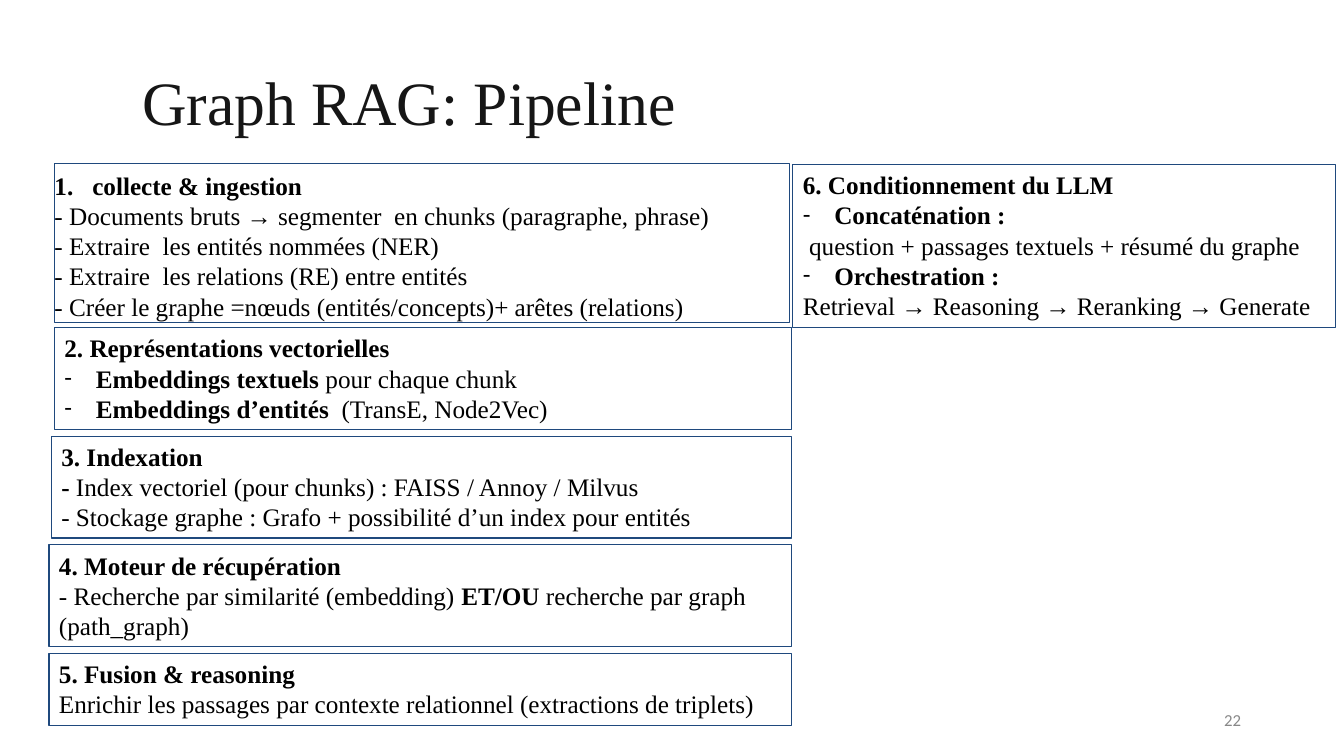
from lxml.etree import SubElement
from pptx import Presentation
from pptx.dml.color import RGBColor
from pptx.enum.shapes import MSO_SHAPE
from pptx.enum.text import MSO_ANCHOR, MSO_AUTO_SIZE, PP_ALIGN
from pptx.oxml.ns import qn
from pptx.util import Pt

BLACK = RGBColor(0x00, 0x00, 0x00)
TITLE_INK = RGBColor(0x16, 0x16, 0x16)
GREY = RGBColor(0x88, 0x88, 0x88)
NAVY = RGBColor(0x1F, 0x49, 0x7D)
SERIF = "Times New Roman"

DASH, NUMBER = "dash", "number"
BULLET_INDENT = {DASH: 22.5, NUMBER: 27}


def write(para, text, size=18, font=SERIF, color=BLACK, bullet=None, spacing=None):
    """Fill a paragraph; text between ** marks is bold."""
    if bullet:
        properties = para._p.get_or_add_pPr()
        indent = Pt(BULLET_INDENT[bullet])
        properties.set("marL", str(indent))
        properties.set("indent", str(-indent))
        if bullet == DASH:
            SubElement(properties, qn("a:buFont"), typeface="Calibri")
            SubElement(properties, qn("a:buChar"), char="-")
        else:
            SubElement(properties, qn("a:buAutoNum"), type="arabicPeriod")
    para.alignment = PP_ALIGN.LEFT
    para.space_before = Pt(0)
    if spacing:
        para.line_spacing = Pt(spacing)
    for index, part in enumerate(text.split("**")):
        if part:
            span = para.add_run()
            span.text = part
            span.font.name = font
            span.font.size = Pt(size)
            span.font.bold = index % 2 == 1
            span.font.color.rgb = color


def set_frame(box, left, top, right, bottom):
    frame = box.text_frame
    frame.word_wrap = True
    frame.auto_size = MSO_AUTO_SIZE.NONE
    frame.vertical_anchor = MSO_ANCHOR.TOP
    frame.margin_left, frame.margin_top = Pt(left), Pt(top)
    frame.margin_right, frame.margin_bottom = Pt(right), Pt(bottom)
    return frame


deck = Presentation()
deck.slide_width, deck.slide_height = Pt(960), Pt(540)
page = deck.slides.add_slide(deck.slide_layouts[5])

title = page.shapes.title
title.left, title.top, title.width, title.height = Pt(90.5), Pt(44.3), Pt(849.6), Pt(54.7)
write(set_frame(title, 0, 7.2, 0, 0).paragraphs[0], " Graph RAG: Pipeline",
      size=44, color=TITLE_INK, spacing=47.2)

# Steps 2 to 5 stack at an equal pitch and share their right edge.
STACK_TOP, PITCH, STACK_RIGHT = 234, 77.6, 565.5
STEP_HEIGHT = 72.7
stack_tops = [STACK_TOP + PITCH * row for row in range(4)]
stack_lefts = [38.9, 36.7, 35, 35]
stack_heights = [STEP_HEIGHT, STEP_HEIGHT, STEP_HEIGHT, 51.1]
stack_places = [(left, top, STACK_RIGHT - left, height)
                for left, top, height in zip(stack_lefts, stack_tops, stack_heights)]
places = [(38.9, 117, 525, 113.3), *stack_places, (566.4, 117.4, 387.6, 116.6)]

steps = [
    [(NUMBER, "**collecte & ingestion**"),
     (None, "- Documents bruts → segmenter  en chunks (paragraphe, phrase)"),
     (None, "- Extraire  les entités nommées (NER)"),
     (None, "- Extraire  les relations (RE) entre entités"),
     (None, "- Créer le graphe =nœuds (entités/concepts)+ arêtes (relations)")],
    [(None, "**2. Représentations vectorielles**"),
     (DASH, "**Embeddings textuels **pour chaque chunk"),
     (DASH, "**Embeddings d’entités  **(TransE, Node2Vec)")],
    [(None, "**3. Indexation**"),
     (None, "**- **Index vectoriel (pour chunks) : FAISS / Annoy / Milvus"),
     (None, "- Stockage graphe : Grafo + possibilité d’un index pour entités")],
    [(None, "**4. Moteur de récupération**"),
     (None, "- Recherche par similarité (embedding) **ET/OU** recherche par graph (path_graph)")],
    [(None, "**5. Fusion & reasoning**"),
     (None, "Enrichir les passages par contexte relationnel (extractions de triplets)")],
    [(None, "**6. Conditionnement du LLM**"),
     (DASH, "**Concaténation :**"),
     (None, " question + passages textuels + résumé du graphe"),
     (DASH, "**Orchestration :**"),
     (None, "Retrieval → Reasoning → Reranking → Generate")],
]

for place, lines in zip(places, steps):
    box = page.shapes.add_shape(MSO_SHAPE.RECTANGLE, *map(Pt, place))
    box.shadow.inherit = False
    box.fill.background()
    box.line.color.rgb = NAVY
    box.line.width = Pt(0.75)
    margins = (0, 4.3, 0, 0) if lines is steps[0] else (7.2, 3.6, 7.2, 3.6)
    frame = set_frame(box, *margins)
    for index, (bullet, text) in enumerate(lines):
        para = frame.add_paragraph() if index else frame.paragraphs[0]
        write(para, text, bullet=bullet)

page_number = page.shapes.add_textbox(Pt(874.4), Pt(509), Pt(17.3), Pt(13.7))
write(set_frame(page_number, 0, 0, 0, 0).paragraphs[0], "22",
      size=12, font="Calibri", color=GREY, spacing=12.4)

deck.save("out.pptx")
